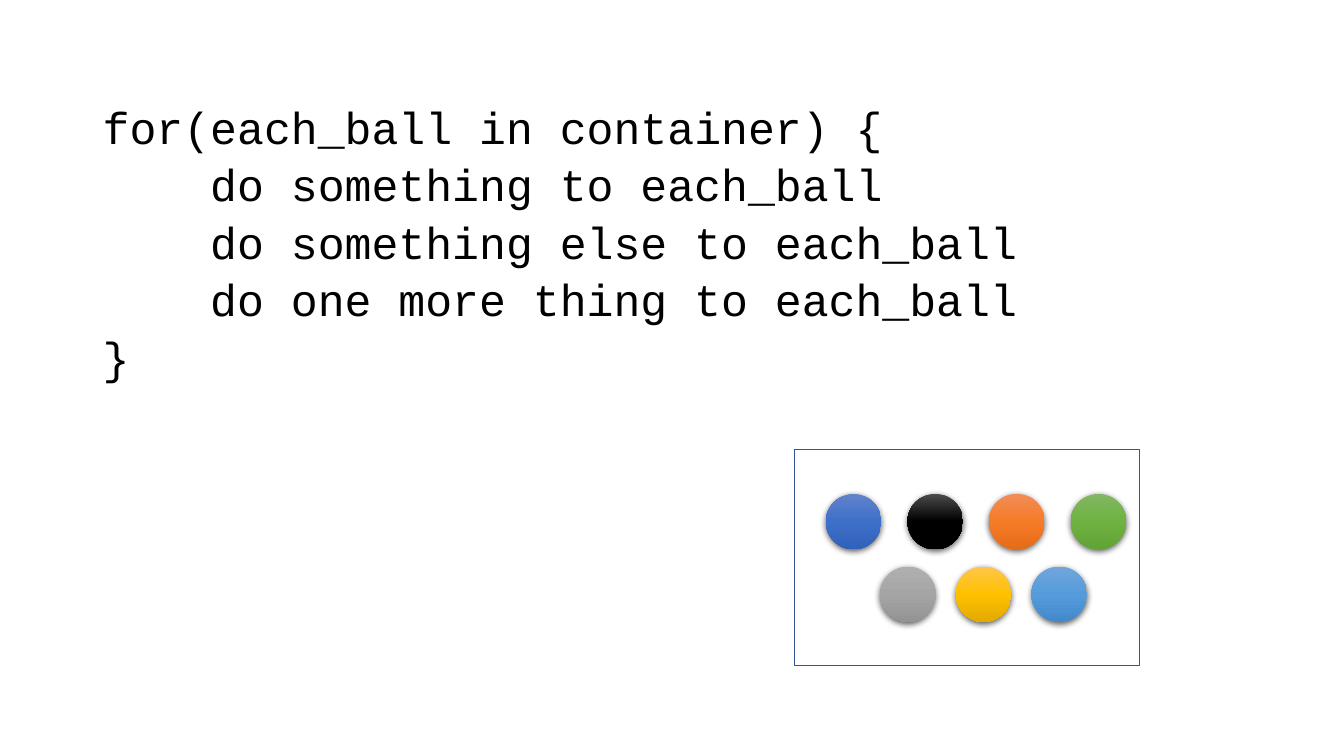
from dataclasses import dataclass

from lxml.etree import SubElement
from pptx import Presentation
from pptx.dml.color import RGBColor
from pptx.enum.shapes import MSO_SHAPE as Preset
from pptx.enum.text import MSO_AUTO_SIZE as AutoSize
from pptx.oxml import parse_xml
from pptx.oxml.ns import nsdecls, qn
from pptx.util import Inches, Pt

BALL_SIZE = 0.55
CODE_FONT = "Courier New"
CODE_SIZE = 32
CHAR_WIDTH = 0.6  # width of a monospaced character, in ems
INDENT_CHARS = 4


@dataclass(frozen=True)
class BallRow:
    """A row of evenly spaced balls, each with top, middle and bottom colours."""
    left: float
    top: float
    step: float
    shades: tuple[tuple[str, str, str], ...]


@dataclass(frozen=True)
class CodeLine:
    """One line of pseudocode and its nesting level."""
    text: str
    level: int = 0


BALL_ROWS = (
    BallRow(8.19, 4.9, 0.81, (
        ("6183CB", "3E70CA", "3062BB"),
        ("4B4B4B", "000000", "000000"),
        ("F18C57", "F67B28", "E56C19"),
        ("81B861", "6FB242", "62A336"),
    )),
    BallRow(8.73, 5.62, 0.75, (
        ("AFAFAF", "A5A5A5", "939393"),
        ("FFC64B", "FFC000", "E3AB00"),
        ("71A6DB", "559BDB", "448ACA"),
    )),
)

LOOP_CODE = (
    CodeLine("for(each_ball in container) {"),
    CodeLine("do something to each_ball", 1),
    CodeLine("do something else to each_ball", 1),
    CodeLine("do one more thing to each_ball", 1),
    CodeLine("}"),
)


def color(hex_code: str) -> RGBColor:
    """Turn a hex string into a colour."""
    return RGBColor.from_string(hex_code)


def draw_container(slide, left: float, top: float, width: float, height: float) -> None:
    """Draw the outlined container that holds the balls."""
    container = slide.shapes.add_shape(
        Preset.RECTANGLE, Inches(left), Inches(top), Inches(width), Inches(height))
    container.shadow.inherit = False
    container.fill.background()
    container.line.color.rgb = color("325491")
    container.line.width = Pt(1)


def add_gradient(ball, shades: tuple[str, str, str]) -> None:
    """Fill a ball with a vertical three-stop gradient."""
    ball.fill.gradient()
    gradient = ball.fill._xPr.find(qn("a:gradFill"))
    stops = gradient.find(qn("a:gsLst"))
    for stop in list(stops):
        stops.remove(stop)
    for position, shade in zip((0, 50000, 100000), shades):
        stop = SubElement(stops, qn("a:gs"), pos=str(position))
        SubElement(stop, qn("a:srgbClr"), val=shade)
    gradient.find(qn("a:lin")).set("ang", "5400000")


def add_shadow(ball) -> None:
    """Give a ball a soft black shadow just below it."""
    ball.shadow.inherit = False
    effects = ball._element.spPr.find(qn("a:effectLst"))
    effects.append(parse_xml(
        f'<a:outerShdw {nsdecls("a")} blurRad="{Pt(4.5)}" dist="{Pt(1.5)}" '
        'dir="5400000" algn="ctr" rotWithShape="0">'
        '<a:srgbClr val="000000"><a:alpha val="63000"/></a:srgbClr></a:outerShdw>'))


def draw_balls(slide, row: BallRow) -> None:
    """Draw one row of balls."""
    for column, shades in enumerate(row.shades):
        ball = slide.shapes.add_shape(
            Preset.OVAL, Inches(row.left + column * row.step), Inches(row.top),
            Inches(BALL_SIZE), Inches(BALL_SIZE))
        add_gradient(ball, shades)
        ball.line.fill.background()
        add_shadow(ball)


def write(paragraph, text: str, *, font: str, size: float, hex_code: str,
          indent: float = 0, spacing: float = 1) -> None:
    """Write formatted text into a paragraph, indented by a length in inches."""
    run = paragraph.add_run()
    run.text = text
    run.font.name = font
    run.font.size = Pt(size)
    run.font.color.rgb = color(hex_code)
    paragraph.line_spacing = spacing
    if indent:
        paragraph._p.get_or_add_pPr().set("marL", str(Inches(indent)))


def draw_code(slide, lines: tuple[CodeLine, ...]) -> None:
    """Write the pseudocode, one paragraph a line."""
    code = slide.shapes.add_textbox(
        Inches(0.92), Inches(0.9), Inches(9.72), Inches(2.79)).text_frame
    code.word_wrap = True
    code.auto_size = AutoSize.SHAPE_TO_FIT_TEXT
    level_indent = INDENT_CHARS * CHAR_WIDTH * CODE_SIZE / 72
    for number, line in enumerate(lines):
        paragraph = code.add_paragraph() if number else code.paragraphs[0]
        write(paragraph, line.text, font=CODE_FONT, size=CODE_SIZE,
              hex_code="000000", indent=line.level * level_indent, spacing=1.07)


def main() -> None:
    """Build and save the slide."""
    deck = Presentation()
    deck.slide_width, deck.slide_height = Inches(13.33), Inches(7.5)
    slide = deck.slides.add_slide(deck.slide_layouts[6])
    draw_container(slide, 7.88, 4.46, 3.42, 2.14)
    for row in BALL_ROWS:
        draw_balls(slide, row)
    draw_code(slide, LOOP_CODE)
    deck.save("out.pptx")


main()
